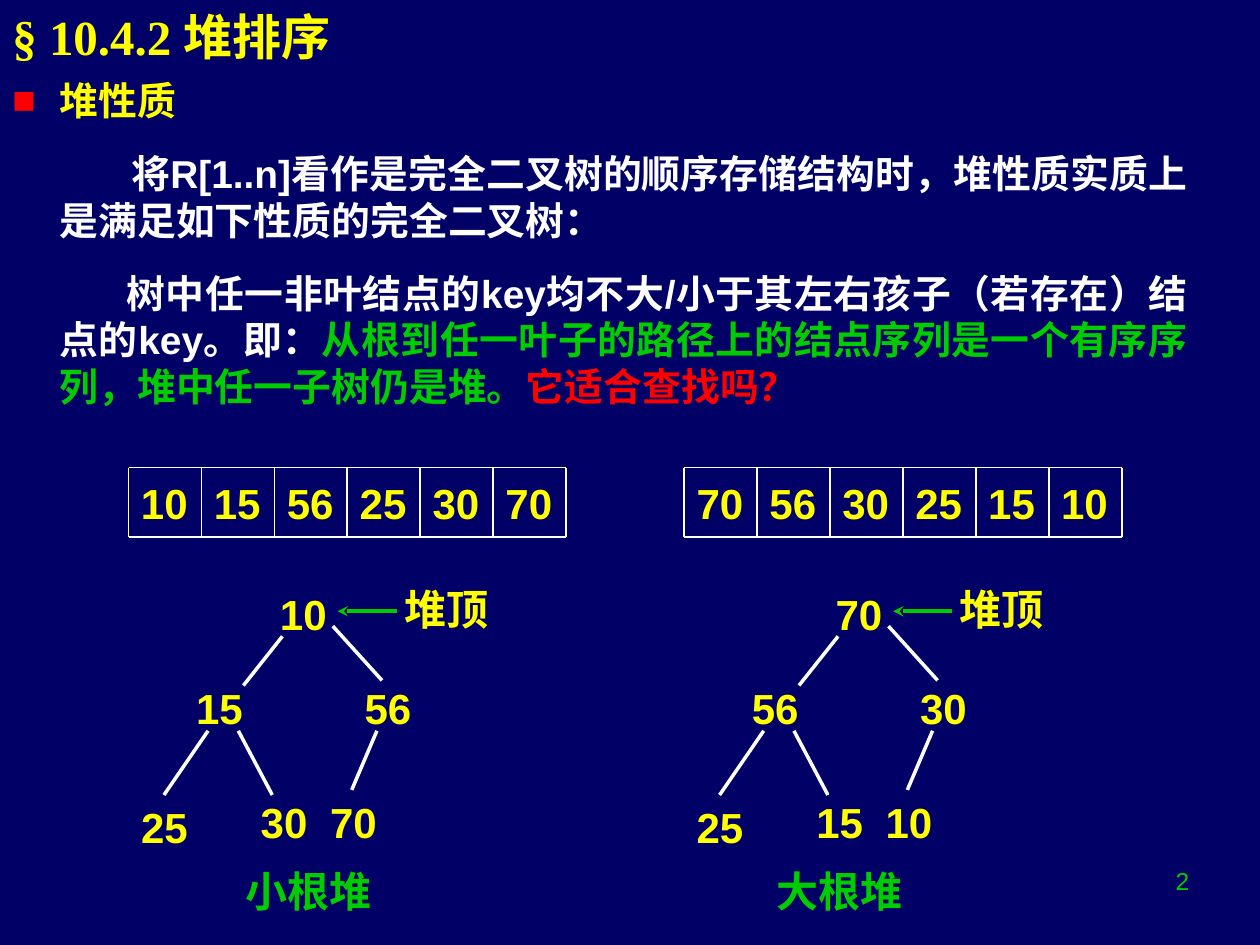
from lxml import etree
from pptx import Presentation
from pptx.dml.color import RGBColor
from pptx.enum.shapes import MSO_CONNECTOR
from pptx.enum.text import MSO_ANCHOR, PP_ALIGN
from pptx.oxml import parse_xml
from pptx.oxml.ns import nsdecls, qn
from pptx.util import Pt

rgb = RGBColor.from_string
NAVY, YELLOW, WHITE, GREEN, RED = "000066", "FFFF00", "FFFFFF", "00CC00", "FF0000"


def add_runs(p, runs, size=24, name="Arial", bold=True):
    for text, color in runs:
        r = p.add_run()
        r.text = text
        for key, value in {"size": Pt(size), "name": name, "bold": bold}.items():
            setattr(r.font, key, value)
        r.font.color.rgb = rgb(color)


def add_line(x1, y1, x2, y2, color=WHITE, width=2):
    ln = s.shapes.add_connector(MSO_CONNECTOR.STRAIGHT, Pt(x1), Pt(y1), Pt(x2), Pt(y2))
    ln.line.color.rgb = rgb(color)
    ln.line.width = Pt(width)
    etree.SubElement(ln._element.spPr, qn("a:effectLst"))
    return ln


prs = Presentation()
prs.slide_width, prs.slide_height = Pt(720), Pt(540)
s = prs.slides.add_slide(prs.slide_layouts[6])
s.background.fill.solid()
s.background.fill.fore_color.rgb = rgb(NAVY)

# Title
tf = s.shapes.add_textbox(Pt(0), Pt(0), Pt(579), Pt(41)).text_frame
tf.word_wrap = True
tf.vertical_anchor = MSO_ANCHOR.MIDDLE
add_runs(tf.paragraphs[0], [("§ 10.4.2 堆排序", YELLOW)], 28, "Times New Roman")

# Body: first-line indent and runs of each paragraph
body = [
    (-27, [("堆性质", YELLOW)]),
    (41, [("将R[1..n]看作是完全二叉树的顺序存储结构时，堆性质实质上是满足如下性质的完全二叉树：", WHITE)]),
    (38.3, [("树中任一非叶结点的key均不大/小于其左右孩子（若存在）结点的key。即：", WHITE),
            ("从根到任一叶子的路径上的结点序列是一个有序序列，堆中任一子树仍是堆。", GREEN),
            ("它适合查找吗？", RED)]),
]
tf = s.shapes.add_textbox(Pt(0), Pt(40.4), Pt(685.8), Pt(227)).text_frame
tf.word_wrap = True
for i, (indent, runs) in enumerate(body):
    p = tf.add_paragraph() if i else tf.paragraphs[0]
    p.alignment = PP_ALIGN.JUSTIFY
    p.space_after = Pt(15)
    add_runs(p, runs, 22.2)
    pPr = p._p.get_or_add_pPr()
    pPr.set("marL", str(Pt(27)))
    pPr.set("indent", str(Pt(indent)))

# Square bullet on the heading
pPr = tf.paragraphs[0]._p.get_or_add_pPr()
for xml in (f'<a:buClr {nsdecls("a")}><a:srgbClr val="{RED}"/></a:buClr>',
            f'<a:buFont {nsdecls("a")} typeface="Arial"/>',
            f'<a:buChar {nsdecls("a")} char="■"/>'):
    pPr.append(parse_xml(xml))

# Array geometry
top, cell_w, cell_h = 267.2, 41.66, 39.6

# Tree geometry, relative to the left edge of each heap, in level order
nodes = [(79.4, 332.6), (31.5, 386.2), (127.7, 386.2), (0, 454.3), (68.4, 451.4), (108, 451.4)]
edges = [(87.9, 363.6, 65.6, 391.7), (116.7, 357.8, 144.8, 388.8), (45.4, 417.6, 20.2, 454.3),
         (62.7, 417.6, 82.1, 454.3), (141.9, 417.6, 127.5, 451.4)]
heaps = [(73.5, [10, 15, 56, 25, 30, 70], "小根堆", 59.7),
         (391, [70, 56, 30, 25, 15, 10], "大根堆", 45.5)]

for x, keys, caption, caption_dx in heaps:
    # Array grid
    for y in (top, top + cell_h):
        add_line(x, y, x + len(keys) * cell_w, y, width=1)
    for i in range(len(keys) + 1):
        add_line(x + i * cell_w, top, x + i * cell_w, top + cell_h, width=1)

    # Tree edges
    for x1, y1, x2, y2 in edges:
        add_line(x + x1, y1, x + x2, y2)

    # Array keys, nodes, label of the heap top, caption
    labels = [(i * cell_w, top, cell_w, cell_h, str(key), YELLOW) for i, key in enumerate(keys)]
    labels += [(dx, y, 48, 36, str(key), YELLOW) for (dx, y), key in zip(nodes, keys)]
    labels += [(150.4, 329.8, 70.6, 36, "堆顶", YELLOW), (caption_dx, 491, 105, 36, caption, GREEN)]
    for dx, y, w, h, text, color in labels:
        tf = s.shapes.add_textbox(Pt(x + dx), Pt(y), Pt(w), Pt(h)).text_frame
        tf.word_wrap = True
        tf.vertical_anchor = MSO_ANCHOR.MIDDLE if y == top else MSO_ANCHOR.TOP
        add_runs(tf.paragraphs[0], [(text, color)])

    # Arrow to the heap top
    arrow = add_line(x + 153.3, 349.3, x + 119.4, 349.3, GREEN)
    etree.SubElement(arrow.line._get_or_add_ln(), qn("a:tailEnd"), type="stealth")

# Slide number
tf = s.shapes.add_textbox(Pt(518.6), Pt(491.2), Pt(168), Pt(37.4)).text_frame
tf.word_wrap = True
tf.paragraphs[0].alignment = PP_ALIGN.RIGHT
add_runs(tf.paragraphs[0], [("2", GREEN)], 14, bold=False)

prs.save("out.pptx")
